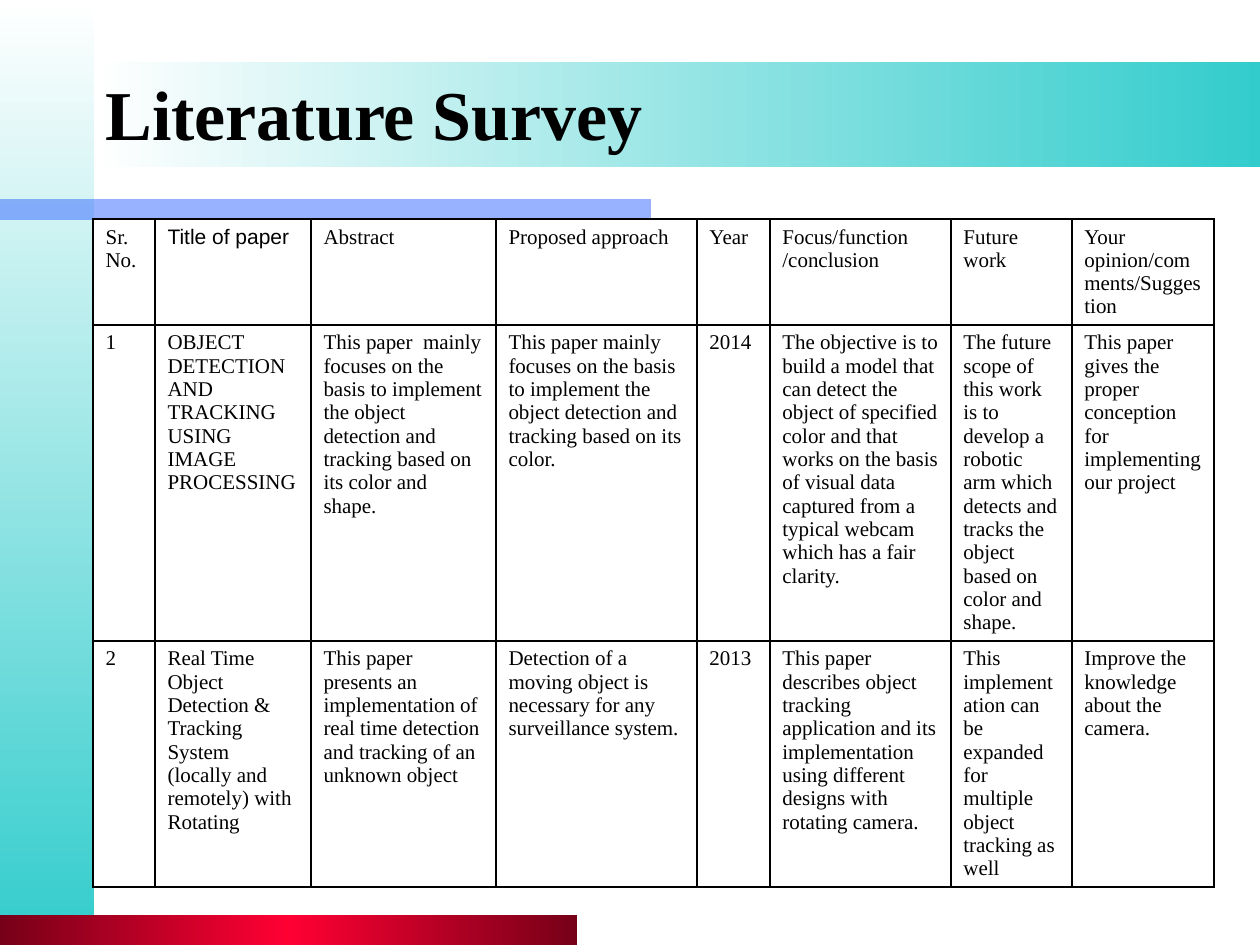
from lxml.etree import SubElement
from pptx import Presentation
from pptx.dml.color import RGBColor
from pptx.enum.shapes import MSO_SHAPE as SHAPE
from pptx.enum.text import MSO_ANCHOR as ANCHOR, PP_ALIGN as ALIGN
from pptx.oxml.ns import qn
from pptx.util import Pt

SCALE = 914400 / 126  # EMU per px
SERIF, SANS = "Times New Roman", "Arial"
COLS = [62, 156, 185, 201, 73, 181, 121, 142]
ROWS = [106, 316, 246]
CELLS = [
    ["Sr.No.", "Title of paper", "Abstract", "Proposed approach", "Year",
     "Focus/function\n/conclusion", "Future work",
     "Your opinion/comments/Suggestion"],
    ["1", "OBJECT DETECTION AND TRACKING USING IMAGE PROCESSING",
     "This paper  mainly focuses on the basis to implement the object "
     "detection and tracking based on its color and shape.",
     "This paper mainly focuses on the basis to implement the object "
     "detection and tracking based on its color.",
     "2014",
     "The objective is to build a model that can detect the object of "
     "specified color and that works on the basis of visual data captured "
     "from a typical webcam which has a fair clarity.",
     "The future scope of this work is to develop a robotic arm which "
     "detects and tracks the object based on color and shape.",
     "This paper gives the proper conception for implementing our project"],
    ["2", "Real Time Object Detection & Tracking System (locally and "
     "remotely) with Rotating",
     "This paper presents an implementation of real time detection and "
     "tracking of an unknown object",
     "Detection of a moving object is necessary for any surveillance system.",
     "2013",
     "This paper describes object tracking application and its "
     "implementation using different designs with rotating camera.",
     "This implementation can be expanded for multiple object tracking "
     "as well",
     "Improve the knowledge about the camera."],
]


def px(n):
    return round(n * SCALE)


def rgb(color):
    return RGBColor.from_string(color)


def add_run(p, text, size, font=SERIF, bold=False):
    r = p.add_run()
    r.text = text
    r.font.size, r.font.name, r.font.bold = Pt(size), font, bold
    r.font.color.rgb = rgb("000000")


def add_bar(s, x, y, w, h):
    sp = s.shapes.add_shape(SHAPE.RECTANGLE, px(x), px(y), px(w), px(h))
    sp.shadow.inherit = False
    sp.line.fill.background()
    return sp


def fill_gradient(sp, colors, angle=0):
    sp.fill.gradient()
    sp.fill.gradient_angle = angle
    stops = sp._element.spPr.find(".//" + qn("a:gsLst"))
    for stop in list(stops):
        stops.remove(stop)
    for i, color in enumerate(colors):
        pos = 100000 * i // (len(colors) - 1)
        stop = SubElement(stops, qn("a:gs"), pos=str(pos))
        SubElement(stop, qn("a:srgbClr"), val=color)


def add_backdrop(s, w, h):
    # Left band
    fill_gradient(add_bar(s, 0, 0, 94, h), ["FFFFFF", "33CCCC"], 270)
    # Translucent blue bar
    sp = add_bar(s, 0, 199, 651, 21)
    sp.fill.solid()
    sp.fill.fore_color.rgb = rgb("3366FF")
    color = sp._element.spPr.find(".//" + qn("a:srgbClr"))
    SubElement(color, qn("a:alpha"), val="50000")
    # Red footer bar
    fill_gradient(add_bar(s, 0, h - 30, 577, 30),
                  ["760018", "FF0033", "760018"])
    # Title band
    fill_gradient(add_bar(s, 94, 62, w - 94, 105), ["FFFFFF", "33CCCC"])


def add_title(s, x, y, w, h):
    title = s.shapes.title
    s.shapes._spTree.append(title._element)  # bring in front of the bands
    title.left, title.top, title.width, title.height = map(px, (x, y, w, h))
    tf = title.text_frame
    tf.vertical_anchor = ANCHOR.MIDDLE
    p = tf.paragraphs[0]
    p.alignment = ALIGN.LEFT
    add_run(p, "Literature Survey", 40, bold=True)


def set_borders(cell):
    tc_pr = cell._tc.get_or_add_tcPr()
    for i, side in enumerate(("lnL", "lnR", "lnT", "lnB")):
        ln = tc_pr.makeelement(qn("a:" + side), {"w": str(Pt(1))})
        fill = SubElement(ln, qn("a:solidFill"))
        SubElement(fill, qn("a:srgbClr"), val="000000")
        tc_pr.insert(i, ln)  # borders come before the fill


def add_survey_table(s, x, y):
    table = s.shapes.add_table(len(ROWS), len(COLS), px(x), px(y),
                               px(sum(COLS)), px(sum(ROWS))).table
    table.first_row = table.horz_banding = False
    for col, w in zip(table.columns, COLS):
        col.width = px(w)
    for row, h, texts in zip(table.rows, ROWS, CELLS):
        row.height = px(h)
        for cell, text in zip(row.cells, texts):
            cell.fill.background()
            set_borders(cell)
            tf = cell.text_frame
            font = SANS if text == "Title of paper" else SERIF
            for i, line in enumerate(text.split("\n")):
                p = tf.add_paragraph() if i else tf.paragraphs[0]
                add_run(p, line, 12, font)


def main():
    prs = Presentation()
    prs.slide_width, prs.slide_height = px(1260), px(945)
    s = prs.slides.add_slide(prs.slide_layouts[5])  # Title Only
    add_backdrop(s, 1260, 945)
    add_title(s, 93, 34, 1071, 158)
    add_survey_table(s, 93, 219)
    prs.save("out.pptx")


if __name__ == "__main__":
    main()
